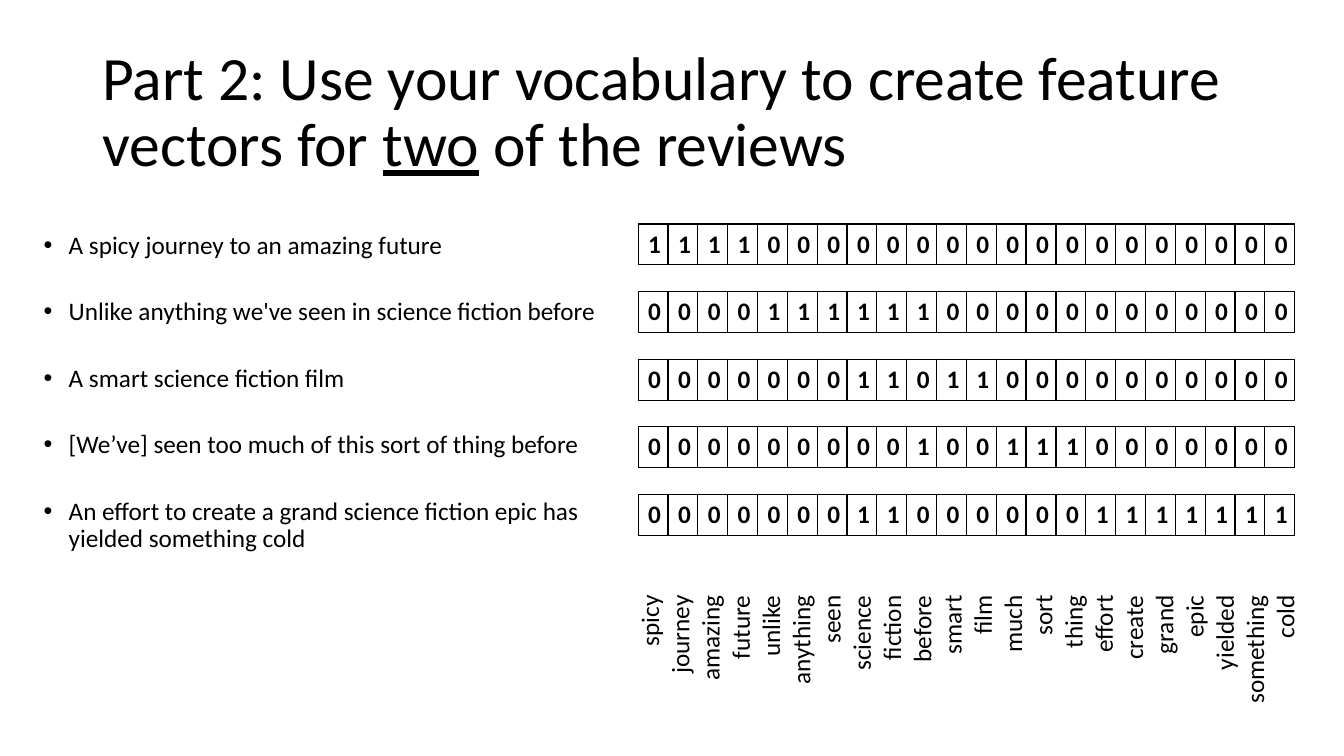
from lxml import etree
from pptx import Presentation, dml
from pptx import util as u
from pptx.dml import color
from pptx.enum import text
from pptx.oxml import ns

Pt = u.Pt
BLACK = "000000"

REVIEWS = [
    ("A spicy journey to an amazing future", "1111000000000000000000"),
    ("Unlike anything we've seen in science fiction before", "0000111111000000000000"),
    ("A smart science fiction film", "0000000110110000000000"),
    ("[We’ve] seen too much of this sort of thing before", "0000000001001110000000"),
    ("An effort to create a grand science fiction epic has yielded something cold",
     "0000000110000001111111"),
]
VOCABULARY = (
    "spicy journey amazing future unlike anything seen science fiction before smart "
    "film much sort thing effort create grand epic yielded something cold"
).split()


def style(paragraph, size, bold=False, hex_color=BLACK):
    paragraph.font.name = "Calibri"
    paragraph.font.size = Pt(size)
    paragraph.font.bold = bold
    paragraph.font.color.rgb = color.RGBColor.from_string(hex_color)


def add_xml(parent, tag, **attributes):
    return etree.SubElement(parent, ns.qn(tag), **attributes)


presentation = Presentation()
presentation.slide_width = Pt(960)
presentation.slide_height = Pt(540)
slide = presentation.slides.add_slide(presentation.slide_layouts[6])

# Title
title = slide.shapes.add_textbox(Pt(66), Pt(28.75), Pt(828), Pt(104.4)).text_frame
title.word_wrap = True
title.vertical_anchor = text.MSO_ANCHOR.MIDDLE
paragraph = title.paragraphs[0]
paragraph.line_spacing = 0.9
style(paragraph, 44)
for words, underlined in [
    ("Part 2: Use your vocabulary to create feature vectors for ", False),
    ("two", True),
    (" of the reviews", False),
]:
    run = paragraph.add_run()
    run.text = words
    run.font.underline = underlined

# Bulleted reviews
reviews = slide.shapes.add_textbox(Pt(24), Pt(162.7), Pt(420), Pt(342.7)).text_frame
reviews.word_wrap = True
reviews.text = "\n".join(review for review, _ in REVIEWS)
for paragraph in reviews.paragraphs:
    paragraph.line_spacing = 0.9
    paragraph.space_before = Pt(10)
    paragraph.space_after = Pt(18)
    style(paragraph, 18)
    properties = paragraph._p.get_or_add_pPr()
    properties.set("marL", str(Pt(18)))
    properties.set("indent", str(-Pt(18)))
    bullet_font = etree.Element(ns.qn("a:buFont"), typeface="Arial")
    bullet = etree.Element(ns.qn("a:buChar"), char="•")
    position = properties.index(properties.find(ns.qn("a:defRPr")))
    properties.insert(position, bullet_font)
    properties.insert(position + 1, bullet)

# Vocabulary, one word under each vector column
label_box = slide.shapes.add_textbox(Pt(646.6), Pt(221), Pt(92.9), Pt(487.4))
label_box.rotation = 270
labels = label_box.text_frame
labels.word_wrap = False
labels.auto_size = text.MSO_AUTO_SIZE.SHAPE_TO_FIT_TEXT
labels.text = "\n".join(VOCABULARY)
for paragraph in labels.paragraphs:
    paragraph.alignment = text.PP_ALIGN.RIGHT
    style(paragraph, 18)

# Feature vectors, one single-row table per review
LEFT, TOP, PITCH = 455.8, 160, 48.3
COLUMN_WIDTH, ROW_HEIGHT = 21.34, 29.2
for number, (_, vector) in enumerate(REVIEWS):
    table = slide.shapes.add_table(
        1, len(vector), Pt(LEFT), Pt(TOP + number * PITCH),
        Pt(COLUMN_WIDTH * len(vector)), Pt(ROW_HEIGHT)).table
    table.first_row = False
    table.horz_banding = False
    for index, digit in enumerate(vector):
        table.columns[index].width = Pt(COLUMN_WIDTH)
        cell = table.cell(0, index)
        cell.text = digit
        paragraph = cell.text_frame.paragraphs[0]
        paragraph.alignment = text.PP_ALIGN.CENTER
        style(paragraph, 18, bold=True)
        cell_properties = cell._tc.get_or_add_tcPr()
        for side in ("a:lnL", "a:lnR", "a:lnT", "a:lnB"):
            border = add_xml(cell_properties, side, w=str(Pt(1)))
            add_xml(add_xml(border, "a:solidFill"), "a:srgbClr", val=BLACK)
        cell.fill.background()

presentation.save("out.pptx")
